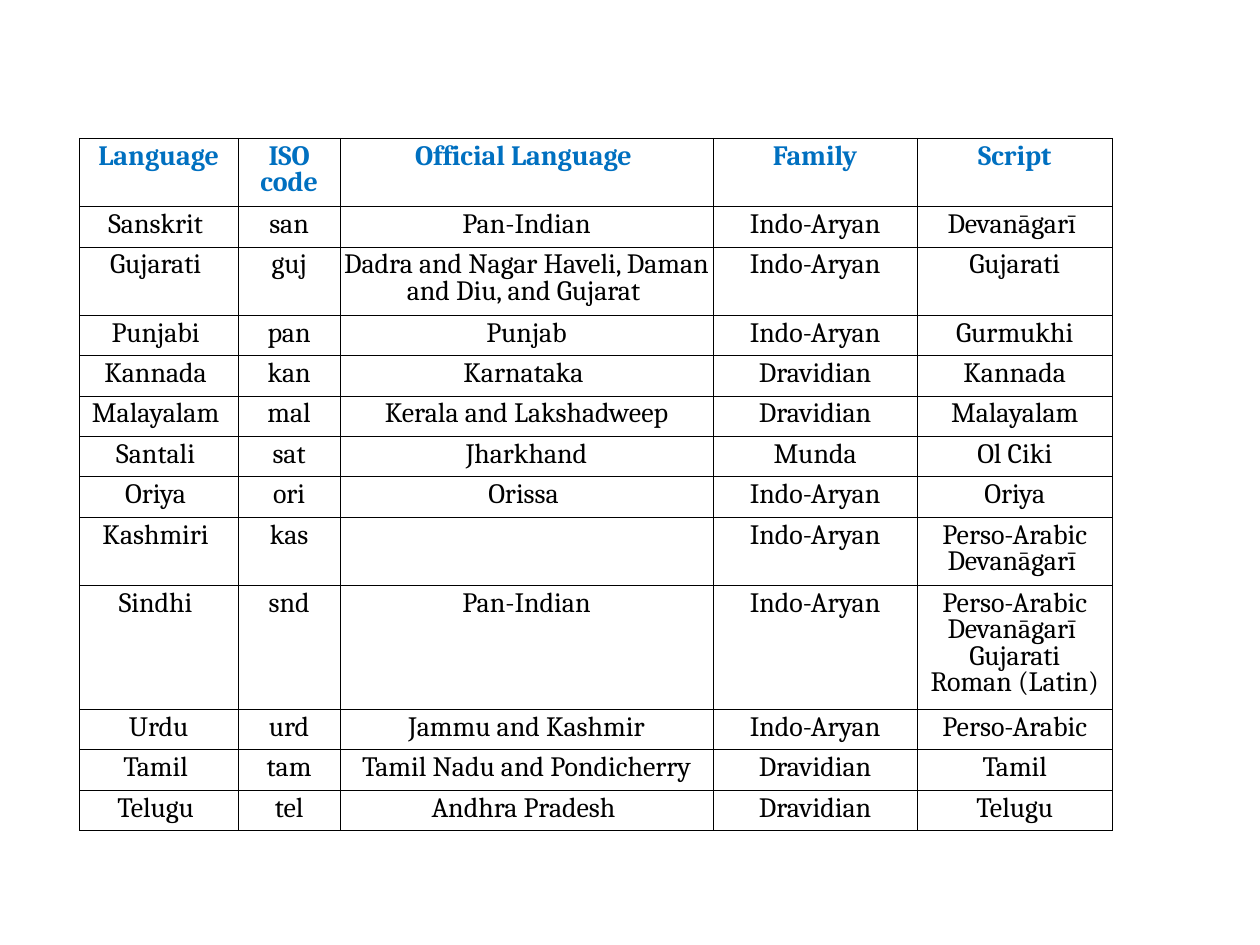
from lxml.etree import SubElement
from pptx import Presentation
from pptx.dml.color import RGBColor
from pptx.enum.text import PP_ALIGN
from pptx.oxml.ns import qn
from pptx.util import Inches, Pt

BLUE = RGBColor(0x00, 0x70, 0xC0)
BLACK = RGBColor(0x00, 0x00, 0x00)
FONT = "Cambria"
PAD = 0.45
COLS = (1.26, 0.81, 2.96, 1.62, 1.55)
ARYAN, DRAVID = "Indo-Aryan", "Dravidian"
PERSO, DEVA = "Perso-Arabic", "Devanāgarī "

# Each row: its height in text lines, then its cells
ROWS = (
    (2, "Language", "ISO\ncode", "Official Language ", "Family", "Script"),
    (1, "Sanskrit ", "san", "Pan-Indian", ARYAN, DEVA),
    (2, "Gujarati ", "guj",
     "Dadra and Nagar Haveli, Daman and Diu, and Gujarat ", ARYAN, "Gujarati"),
    (1, "Punjabi ", "pan", "Punjab", ARYAN, "Gurmukhi"),
    (1, "Kannada ", "kan", "Karnataka ", DRAVID, "Kannada"),
    (1, "Malayalam ", "mal", "Kerala and Lakshadweep", DRAVID, "Malayalam"),
    (1, "Santali ", "sat", "Jharkhand", "Munda", "Ol Ciki"),
    (1, "Oriya ", "ori", "Orissa ", ARYAN, "Oriya"),
    (2, "Kashmiri ", "kas", "", ARYAN, f"{PERSO}\n{DEVA}"),
    (4, "Sindhi ", "snd", "Pan-Indian", ARYAN,
     f"{PERSO}\n{DEVA}\nGujarati\nRoman (Latin)"),
    (1, "Urdu", "urd", "Jammu and Kashmir", ARYAN, PERSO),
    (1, "Tamil ", "tam", "Tamil Nadu and Pondicherry", DRAVID, "Tamil"),
    (1, "Telugu ", "tel", "Andhra Pradesh ", DRAVID, "Telugu"),
)


def draw_edges(cell):
    """Give a cell thin black borders on all four sides."""
    props = cell._tc.get_or_add_tcPr()
    for tag in ("a:lnL", "a:lnR", "a:lnT", "a:lnB"):
        line = SubElement(props, qn(tag), w=str(Pt(0.06)))
        fill = SubElement(line, qn("a:solidFill"))
        SubElement(fill, qn("a:srgbClr"), val=str(BLACK))


def fill_cell(cell, text, head):
    """Write centred text into a cell, one paragraph to a line."""
    draw_edges(cell)
    cell.fill.background()
    cell.margin_left = cell.margin_right = Inches(0.02)
    cell.margin_top = cell.margin_bottom = Inches(0.05)
    frame = cell.text_frame
    for i, part in enumerate(text.split("\n")):
        para = frame.add_paragraph() if i else frame.paragraphs[0]
        para.alignment = PP_ALIGN.CENTER
        para.line_spacing = 0.82
        if part:
            run = para.add_run()
            run.text = part
            run.font.name = FONT
            run.font.size = Pt(16)
            run.font.bold = head
            run.font.color.rgb = BLUE if head else BLACK


def add_grid(slide, left, top, width, height):
    """Place the language table in the given box."""
    frame = slide.shapes.add_table(
        len(ROWS), len(COLS), left, top, width, height)
    table = frame.table
    table.first_row = table.horz_banding = False
    for col, share in zip(table.columns, COLS):
        col.width = int(width * share / sum(COLS))
    unit = height / sum(row[0] + PAD for row in ROWS)
    for r, (lines, *texts) in enumerate(ROWS):
        table.rows[r].height = int(unit * (lines + PAD))
        for c, text in enumerate(texts):
            fill_cell(table.cell(r, c), text, r == 0)


def main():
    """Build and save the slide."""
    deck = Presentation()
    deck.slide_width, deck.slide_height = Inches(10), Inches(7.5)
    slide = deck.slides.add_slide(deck.slide_layouts[6])
    wide, high = deck.slide_width, deck.slide_height
    add_grid(slide, int(wide * 0.063), int(high * 0.146),
             int(wide * 0.82), int(high * 0.733))
    deck.save("out.pptx")


if __name__ == "__main__":
    main()
